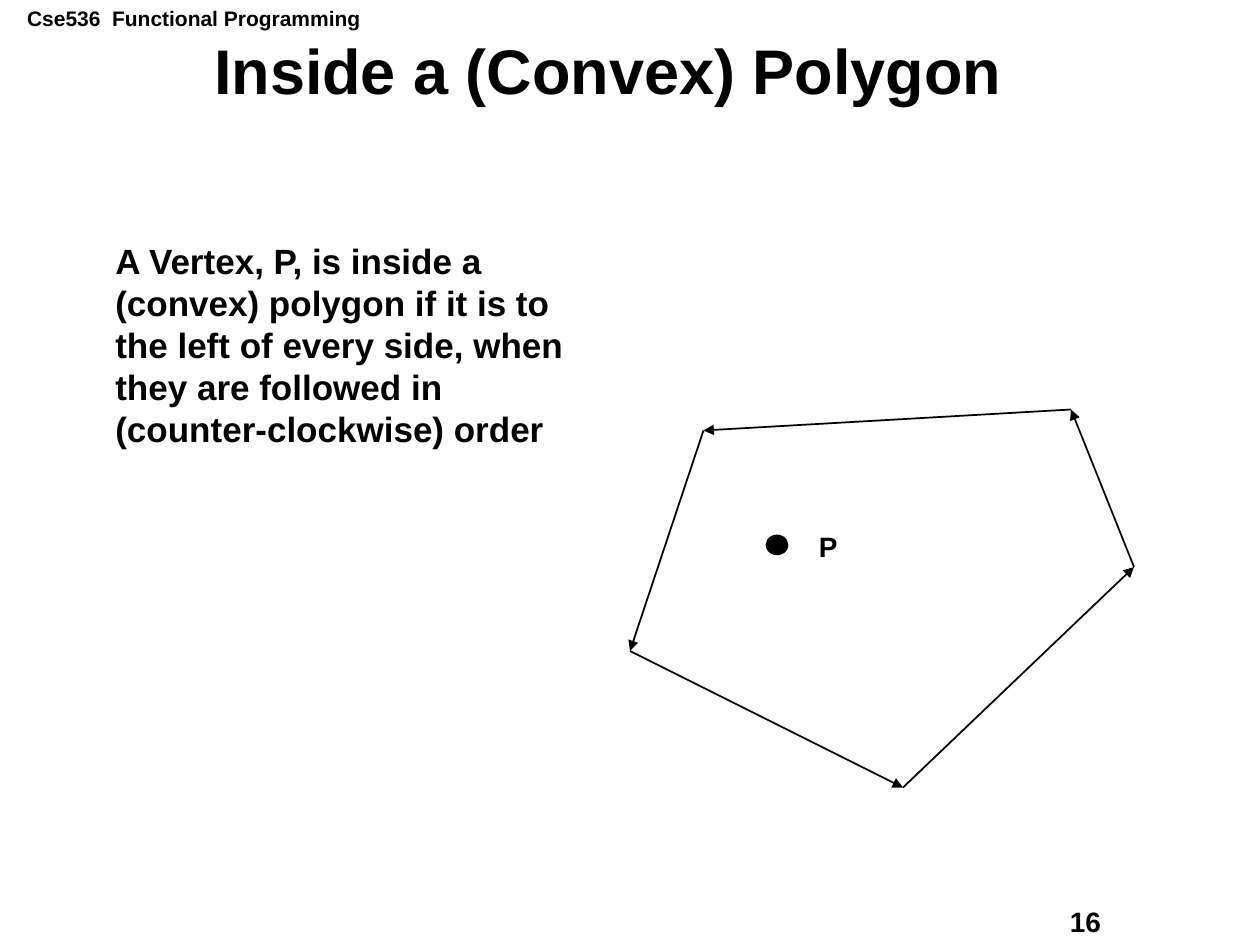
import itertools

import pptx
import pptx.dml.color
import pptx.enum.shapes
import pptx.enum.text
import pptx.oxml
import pptx.oxml.ns
import pptx.util

COLORS = {"ink": "000000", "paper": "FFFFFF"}
FONT = "Arial"
COLS, ROWS = 120, 90
CELL = pptx.util.Inches(10) // COLS
VERTICES = [(86, 75), (108, 54), (102, 39), (67, 41), (60, 62)]


def cells(*values):
    """Turn grid columns and rows into slide lengths."""
    return [round(v * CELL) for v in values]


def rgb(name):
    """Look up a named colour."""
    return pptx.dml.color.RGBColor.from_string(COLORS[name])


def add_text(s, box, text, size, wrap=True, grow=True):
    """Add a bold text box and return it."""
    sp = s.shapes.add_textbox(*cells(*box))
    tf = sp.text_frame
    tf.word_wrap = wrap
    auto = pptx.enum.text.MSO_AUTO_SIZE
    tf.auto_size = auto.SHAPE_TO_FIT_TEXT if grow else auto.NONE
    p = tf.paragraphs[0]
    p.text = text
    p.font.name = FONT
    p.font.size = pptx.util.Pt(size)
    p.font.bold = True
    p.font.color.rgb = rgb("ink")
    return sp


def add_title(s, box, text):
    """Add the centred slide title."""
    tf = add_text(s, box, text, 36, grow=False).text_frame
    tf.vertical_anchor = pptx.enum.text.MSO_ANCHOR.MIDDLE
    p = tf.paragraphs[0]
    p.alignment = pptx.enum.text.PP_ALIGN.CENTER
    p.line_spacing = 0.9


def add_arrow(s, start, end):
    """Add a thin arrow between two grid points."""
    straight = pptx.enum.shapes.MSO_CONNECTOR.STRAIGHT
    sp = s.shapes.add_connector(straight, *cells(*start, *end))
    sp.line.color.rgb = rgb("ink")
    sp.line.width = pptx.util.Pt(1)
    ln = sp.line._get_or_add_ln()
    head = pptx.oxml.parse_xml(
        f'<a:tailEnd {pptx.oxml.ns.nsdecls("a")} type="triangle"/>')
    ln.append(head)
    ln.addnext(pptx.oxml.parse_xml(
        f'<a:effectLst {pptx.oxml.ns.nsdecls("a")}/>'))


def add_polygon(s, vertices):
    """Join the vertices in order with arrows, back to the first."""
    for start, end in itertools.pairwise(vertices + vertices[:1]):
        add_arrow(s, start, end)


def add_dot(s, box):
    """Add a solid dot."""
    oval = pptx.enum.shapes.MSO_SHAPE.OVAL
    sp = s.shapes.add_shape(oval, *cells(*box))
    sp.shadow.inherit = False
    sp.fill.solid()
    sp.fill.fore_color.rgb = rgb("ink")
    sp.line.color.rgb = rgb("ink")
    sp.line.width = pptx.util.Pt(1)


def main():
    """Build the slide and save it."""
    prs = pptx.Presentation()
    prs.slide_width, prs.slide_height = cells(COLS, ROWS)
    s = prs.slides.add_slide(prs.slide_layouts[6])
    s.background.fill.solid()
    s.background.fill.fore_color.rgb = rgb("paper")
    add_text(s, (1.4, -0.1, 34.2, 3.6), "Cse536  Functional Programming", 12,
             wrap=False)
    add_text(s, (100.7, 85.6, 15.2, 4.3), "16", 16)
    add_title(s, (3.7, 3.7, 108.4, 6.7), "Inside a (Convex) Polygon")
    add_polygon(s, VERTICES)
    add_text(s, (9.8, 22.2, 45.2, 21.2),
             "A Vertex, P, is inside a (convex) polygon if it is to the left "
             "of every side, when they are followed in (counter-clockwise) "
             "order", 20)
    add_dot(s, (73, 51, 2, 1.8))
    add_text(s, (76.8, 49.8, 4.2, 4.4), "P", 16, wrap=False)
    prs.save("out.pptx")


if __name__ == "__main__":
    main()
